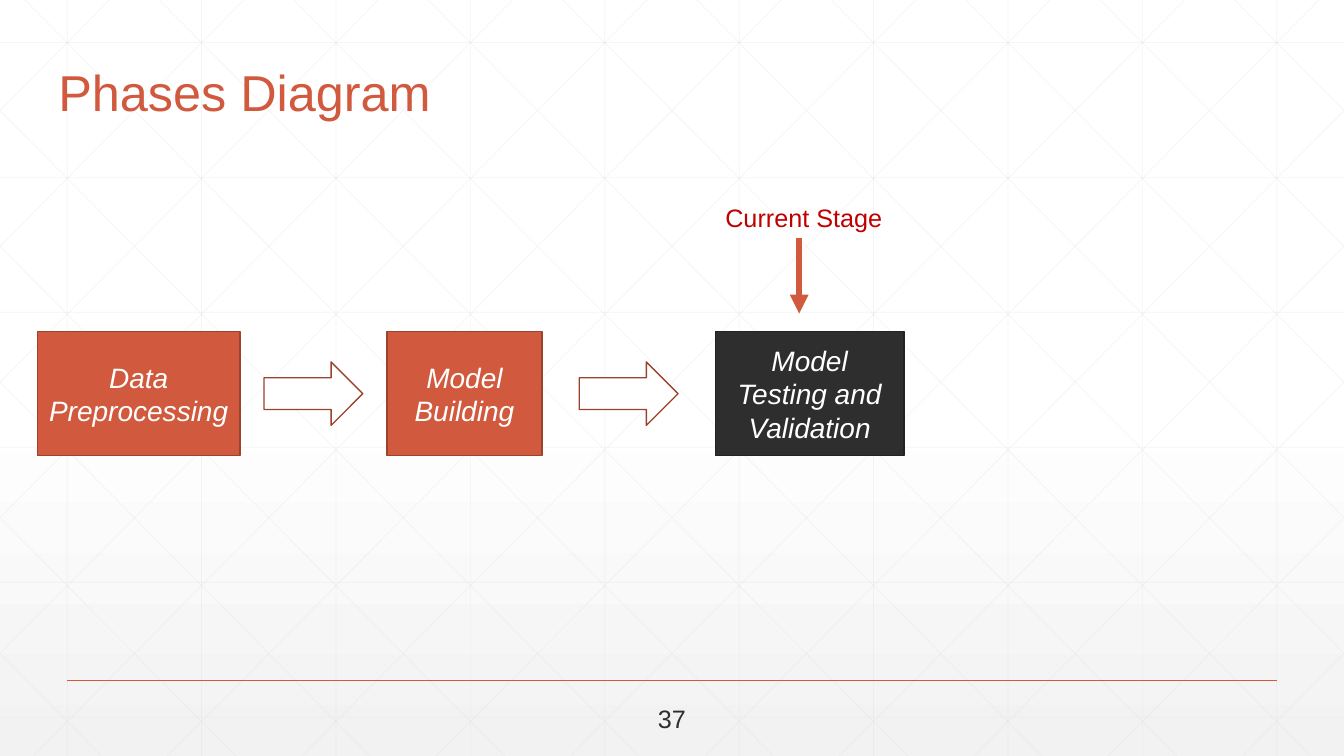
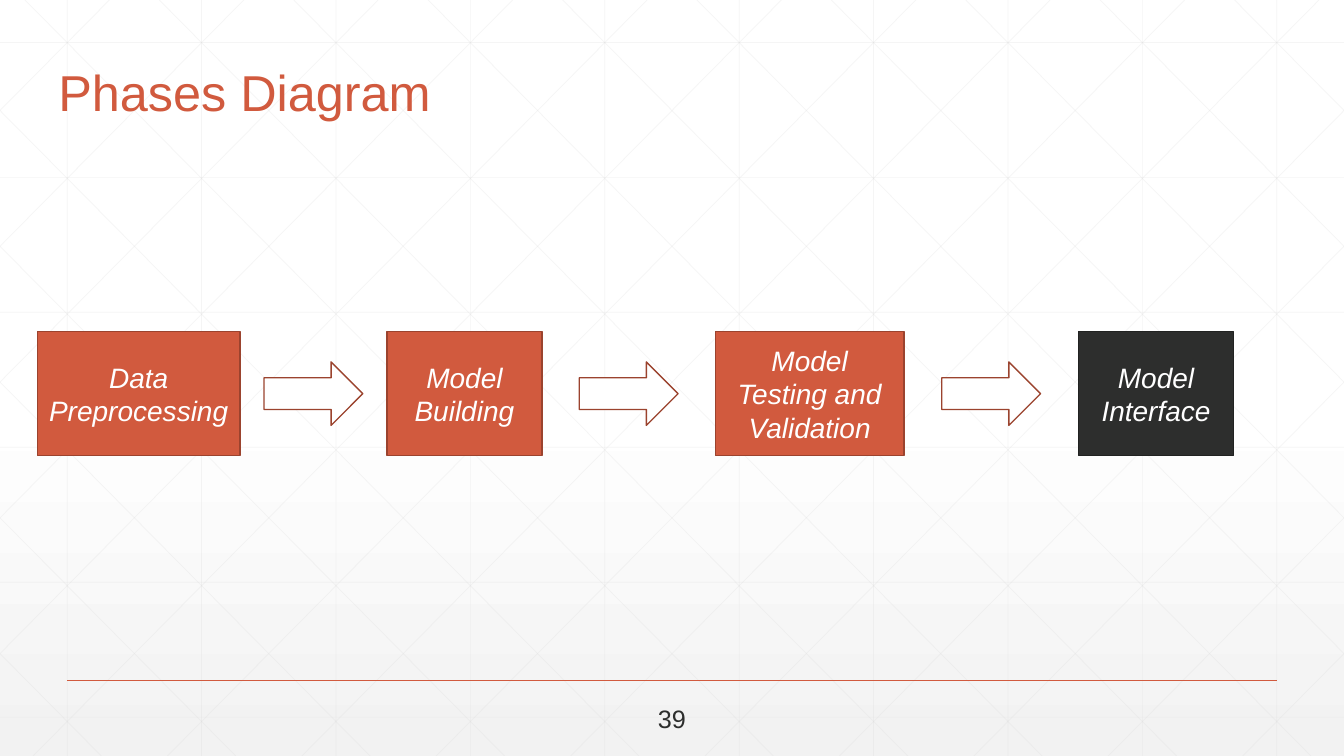
from typing import NamedTuple

from lxml.etree import SubElement
from pptx import Presentation
from pptx.dml.color import RGBColor
from pptx.enum.shapes import MSO_CONNECTOR, MSO_SHAPE
from pptx.enum.text import MSO_ANCHOR, PP_ALIGN
from pptx.oxml.ns import qn
from pptx.shapes.autoshape import Shape
from pptx.shapes.connector import Connector
from pptx.slide import Slide
from pptx.util import Cm, Pt

WHITE = RGBColor(0xFF, 0xFF, 0xFF)
PALE = RGBColor(0xF2, 0xF2, 0xF2)
GRID = RGBColor(0xD9, 0xD9, 0xD9)
ORANGE = RGBColor(0xD1, 0x5A, 0x3E)
BROWN = RGBColor(0x9B, 0x43, 0x2E)
DARK = RGBColor(0x2D, 0x2E, 0x2D)
BLACK = RGBColor(0x21, 0x22, 0x21)
RED = RGBColor(0xC0, 0x00, 0x00)
FONT = "Arial"

# All lengths below are in centimetres.
WIDTH, HEIGHT = 33.87, 19.05
GRID_STEP = WIDTH / 10
ROW_TOP, ROW_STEP, ROWS = 1.07, 3.4, 6
DIAGONAL_START, DIAGONAL_SLOPE = 0.63, 0.99
BOX_TOP, BOX_HEIGHT = 8.36, 3.12
ARROW_WIDTH, ARROW_HEIGHT = 2.49, 1.6


class Phase(NamedTuple):
    name: str
    left: float
    width: float

    @property
    def right(self) -> float:
        return self.left + self.width


class Page(NamedTuple):
    number: int
    phase_count: int
    has_callout: bool


PHASES = [
    Phase("Data Preprocessing", 0.94, 5.11),
    Phase("Model Building", 9.75, 3.91),
    Phase("Model Testing and Validation", 18.03, 4.75),
    Phase("Model Interface", 27.18, 3.91),
]
PAGES = [Page(37, 3, True), Page(39, 4, False)]


def add_line(s: Slide, x1: float, y1: float, x2: float, y2: float,
             color: RGBColor, width: float) -> Connector:
    line = s.shapes.add_connector(MSO_CONNECTOR.STRAIGHT, Cm(x1), Cm(y1), Cm(x2), Cm(y2))
    line.line.color.rgb = color
    line.line.width = Pt(width)
    SubElement(line.element.spPr, qn("a:effectLst"))
    return line


def add_grid_line(s: Slide, x1: float, y1: float, x2: float, y2: float) -> None:
    line = add_line(s, x1, y1, x2, y2, GRID, 0.5)
    color = line.element.spPr.find(".//" + qn("a:srgbClr"))
    SubElement(color, qn("a:alpha"), val="25000")


def draw_backdrop(s: Slide) -> None:
    for i in range(10):
        x = GRID_STEP * (i + 0.5)
        add_grid_line(s, x, 0, x, HEIGHT)
    for i in range(ROWS):
        y = ROW_TOP + i * ROW_STEP
        add_grid_line(s, 0, y, WIDTH, y)
    for i in range(-5, 10):
        start = DIAGONAL_START + i * GRID_STEP
        y1 = max(0, -start / DIAGONAL_SLOPE)
        y2 = min(HEIGHT, (WIDTH - start) / DIAGONAL_SLOPE)
        x1, x2 = start + y1 * DIAGONAL_SLOPE, start + y2 * DIAGONAL_SLOPE
        add_grid_line(s, x1, y1, x2, y2)
        add_grid_line(s, WIDTH - x1, y1, WIDTH - x2, y2)
    add_line(s, GRID_STEP / 2, 17.15, WIDTH - GRID_STEP / 2, 17.15, ORANGE, 1)


def move_to_layout(s: Slide) -> None:
    """Make the shapes drawn on the slide part of its layout, with the shared background."""
    layout = s.slide_layout
    for placeholder in list(layout.placeholders):
        layout.shapes.element.remove(placeholder.element)
    for shape in list(s.shapes):
        layout.shapes.element.append(shape.element)
    fill = layout.background.fill
    fill.gradient()
    fill.gradient_angle = 270
    for stop, position, color in zip(fill.gradient_stops, (0.53, 1), (WHITE, PALE)):
        stop.position = position
        stop.color.rgb = color


def set_text(shape: Shape, text: str, size: int, color: RGBColor,
             align: PP_ALIGN = PP_ALIGN.LEFT, italic: bool = False) -> None:
    tf = shape.text_frame
    tf.word_wrap = True
    tf.text = text
    p = tf.paragraphs[0]
    p.alignment = align
    font = p.runs[0].font
    font.name, font.size, font.italic = FONT, Pt(size), italic
    font.color.rgb = color


def add_text(s: Slide, left: float, top: float, width: float, height: float,
             text: str, size: int, color: RGBColor,
             align: PP_ALIGN = PP_ALIGN.LEFT) -> Shape:
    box = s.shapes.add_textbox(Cm(left), Cm(top), Cm(width), Cm(height))
    set_text(box, text, size, color, align)
    return box


def add_block(s: Slide, kind: MSO_SHAPE, left: float, top: float, width: float,
              height: float, fill: RGBColor, outline: RGBColor) -> Shape:
    sp = s.shapes.add_shape(kind, Cm(left), Cm(top), Cm(width), Cm(height))
    sp.shadow.inherit = False
    sp.fill.solid()
    sp.fill.fore_color.rgb = fill
    sp.line.color.rgb = outline
    sp.line.width = Pt(1)
    return sp


def add_phases(s: Slide, phases: list[Phase]) -> None:
    """Draw the phases in a row, the last one dark, with an arrow centred in each gap."""
    for phase in phases:
        fill, outline = (DARK, BLACK) if phase is phases[-1] else (ORANGE, BROWN)
        box = add_block(s, MSO_SHAPE.RECTANGLE, phase.left, BOX_TOP,
                        phase.width, BOX_HEIGHT, fill, outline)
        box.text_frame.vertical_anchor = MSO_ANCHOR.MIDDLE
        set_text(box, phase.name, 20, WHITE, PP_ALIGN.CENTER, italic=True)
    arrow_top = BOX_TOP + (BOX_HEIGHT - ARROW_HEIGHT) / 2
    for before, after in zip(phases, phases[1:]):
        left = (before.right + after.left - ARROW_WIDTH) / 2
        add_block(s, MSO_SHAPE.RIGHT_ARROW, left, arrow_top,
                  ARROW_WIDTH, ARROW_HEIGHT, WHITE, BROWN)


def add_callout(s: Slide, phase: Phase) -> None:
    add_text(s, phase.left, 4.98, phase.width, 1.02, "Current Stage", 18, RED)
    x = phase.left + 2.11
    pointer = add_line(s, x, 6, x, 7.9, ORANGE, 4.5)
    SubElement(pointer.element.spPr.find(qn("a:ln")), qn("a:tailEnd"), type="triangle")


def fill_page(s: Slide, page: Page) -> None:
    phases = PHASES[:page.phase_count]
    add_phases(s, phases)
    add_text(s, WIDTH / 2 - 1, 17.6, 2, 1.02, str(page.number), 18, DARK, PP_ALIGN.CENTER)
    title = add_text(s, 1.22, 1.64, 26.67, 1.58, "Phases Diagram", 36, ORANGE)
    title.text_frame.vertical_anchor = MSO_ANCHOR.BOTTOM
    title.text_frame.paragraphs[0].line_spacing = 0.9
    if page.has_callout:
        add_callout(s, phases[-1])


def main() -> None:
    prs = Presentation()
    prs.slide_width, prs.slide_height = Cm(WIDTH), Cm(HEIGHT)
    slides = [prs.slides.add_slide(prs.slide_layouts[6]) for _ in PAGES]
    draw_backdrop(slides[0])
    move_to_layout(slides[0])
    for s, page in zip(slides, PAGES):
        fill_page(s, page)
    prs.save("out.pptx")


if __name__ == "__main__":
    main()
